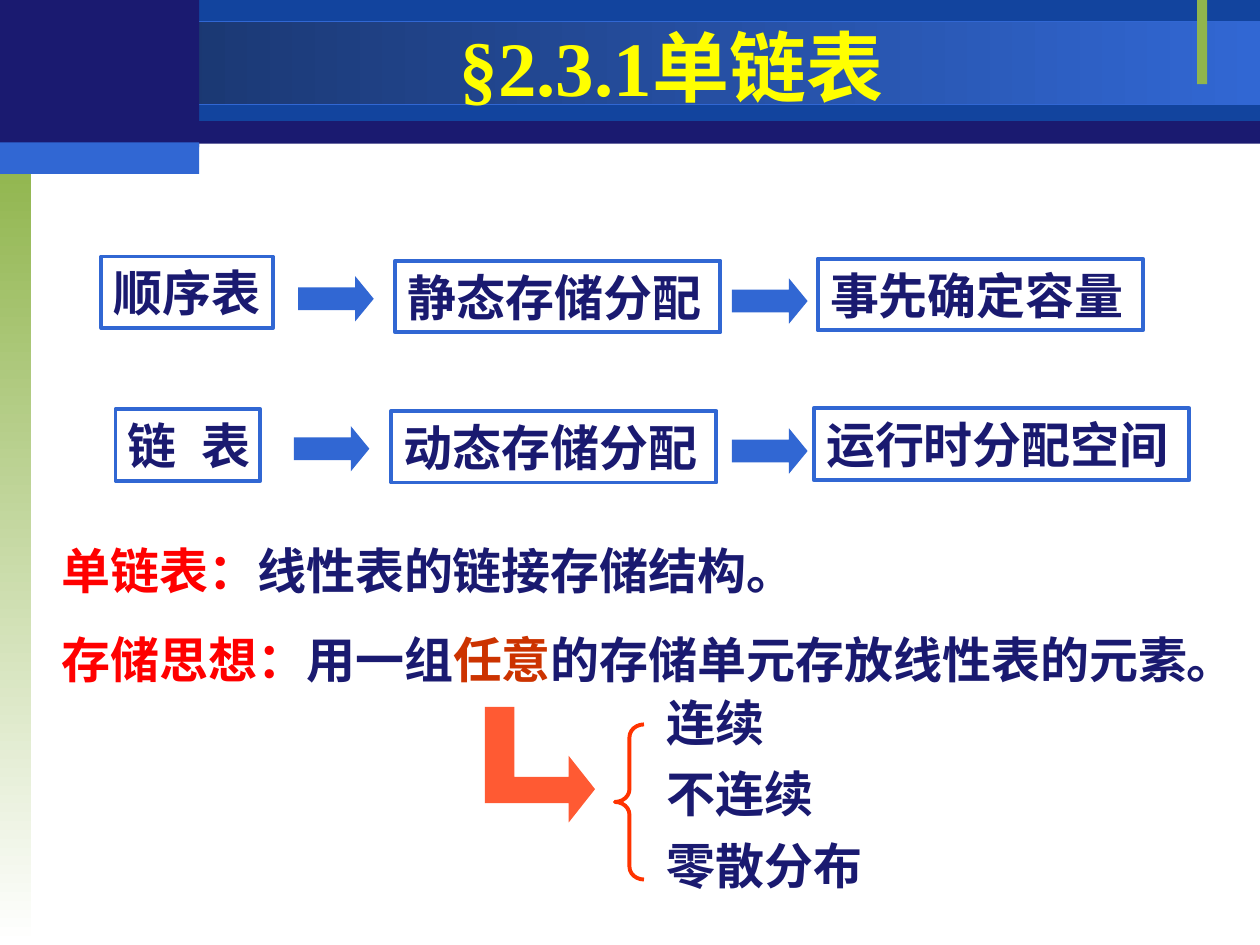
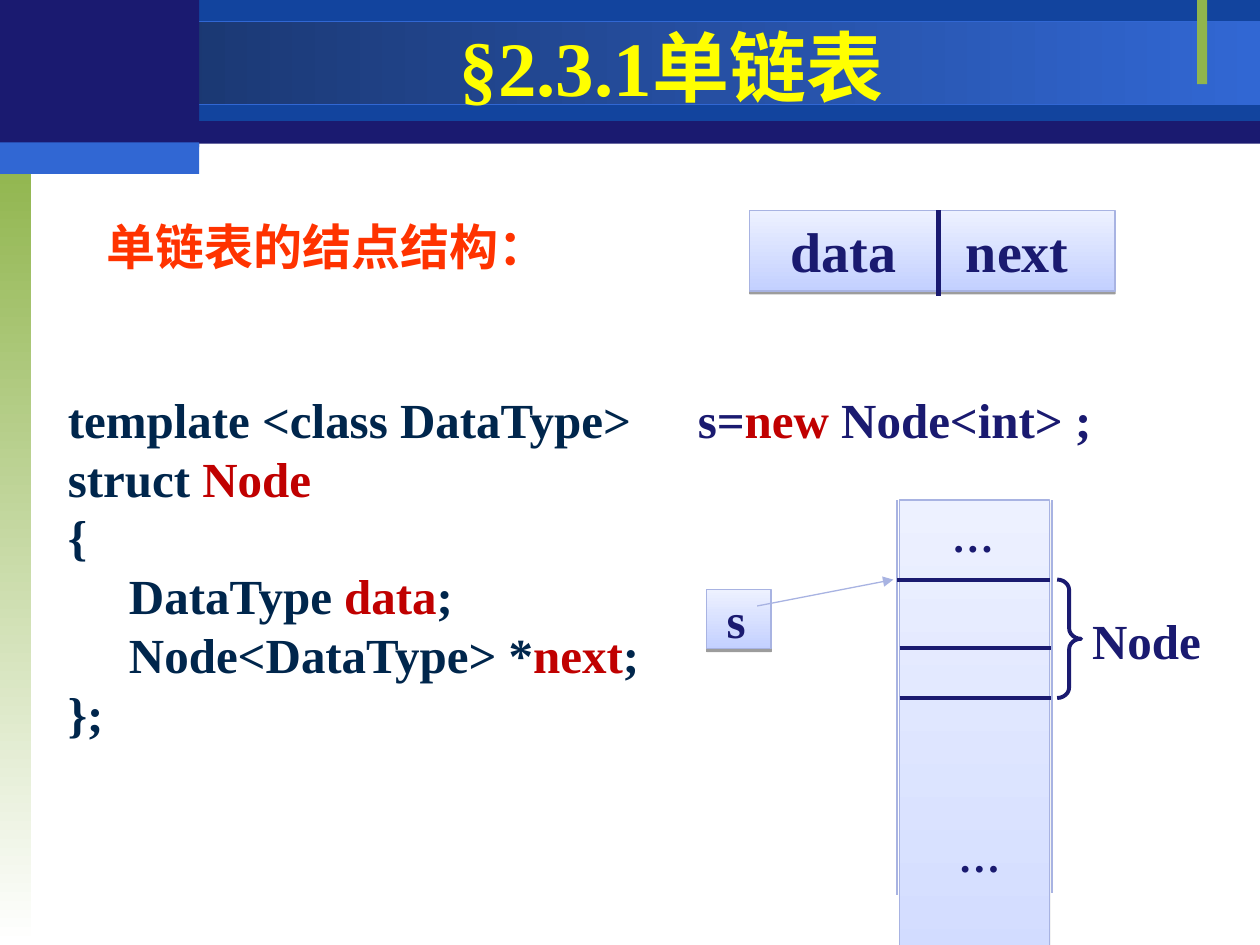
from dataclasses import dataclass
from typing import Optional

from lxml.etree import SubElement
from pptx import Presentation
from pptx.dml.color import RGBColor
from pptx.enum.shapes import MSO_CONNECTOR as Connector, MSO_SHAPE as Preset
from pptx.enum.text import MSO_ANCHOR as Anchor, MSO_AUTO_SIZE as AutoSize, PP_ALIGN as Align
from pptx.oxml.ns import qn
from pptx.util import Pt

COLORS = {
    "navy": "1A1A70", "royal": "12449E", "blue": "3167D3", "midnight": "173062",
    "green": "90B54D", "white": "FFFFFF", "yellow": "FFFF00", "red": "FF0000",
    "rust": "CC3300", "orange": "FF3300", "coral": "FF5A33", "crimson": "C00000",
    "ink": "00264C", "pale": "EDF1FF", "lavender": "C3D0FF", "periwinkle": "A8B3E2",
    "black": "000000",
}
TIMES, ARIAL, NOTO = "Times New Roman", "Arial", "Noto Sans CJK SC"
TITLE = "§2.3.1单链表"
ARROW_SIZE = (43.2, 25.9)
BOX_HEIGHT = 41


@dataclass(frozen=True)
class Box:
    left: float
    top: float
    width: float
    height: float


@dataclass(frozen=True)
class Paint:
    fill: Optional[str] = None
    fade_to: Optional[str] = None
    angle: int = 270
    line: Optional[str] = None
    line_width: float = 0.75
    shadow: bool = False


@dataclass(frozen=True)
class Piece:
    text: str
    color: str = "navy"
    tracking: float = 0


@dataclass(frozen=True)
class Style:
    font: str = TIMES
    size: float = 28
    italic: bool = False
    align: Align = Align.LEFT
    anchor: Anchor = Anchor.TOP
    gap: float = 0
    spacing: Optional[float] = None
    wrap: bool = True
    insets: tuple = (7.2, 3.6, 7.2, 3.6)
    tab: Optional[float] = None


@dataclass(frozen=True)
class FlowBox:
    left: float
    top: float
    width: float
    pieces: list
    style: Style


@dataclass(frozen=True)
class Stroke:
    start: tuple
    end: tuple
    color: str = "navy"
    width: float = 2.25
    arrow: bool = False


CELL = Paint("pale", "lavender", line="periwinkle", shadow=True)
OUTLINE = Paint(line="blue", line_width=2.25)
FIRST = Style(ARIAL, wrap=False)
NEXT = Style(NOTO, anchor=Anchor.MIDDLE)
ELLIPSIS = Style(size=24, italic=True, spacing=1.1)

BANDS = [
    (Box(0, 0.7, 720, 81.4), Paint("navy")),
    (Box(113.8, 0, 606.2, 69.1), Paint("royal")),
    (Box(0, 12.2, 720, 47.5), Paint("midnight", "blue", 0, "blue")),
    (Box(0, 90, 18, 450), Paint("green", "white")),
    (Box(684, 0, 5.8, 48.2), Paint("green")),
    (Box(0, 0, 113.8, 84.2), Paint("navy")),
    (Box(0, 81.4, 113.8, 18), Paint("blue")),
]
FLOW_BOXES = [
    FlowBox(58, 146.6, 97.9, [Piece("顺序表")], FIRST),
    FlowBox(225.8, 149, 185.8, [Piece("静态存储分配")], NEXT),
    FlowBox(467.2, 147.8, 185.8, [Piece("事先确定容量")], NEXT),
    FlowBox(66, 233.8, 82.8, [Piece("链"), Piece(" ", tracking=7.8), Piece("表")], FIRST),
    FlowBox(223.6, 234.8, 185.8, [Piece("动态存储分配")], NEXT),
    FlowBox(465, 233.4, 214.6, [Piece("运行时分配空间")], NEXT),
]
FLOW_ARROWS = [(170.4, 157.8), (418.3, 159.1), (167.9, 243.5), (418.3, 244.8)]
BENT_ARROW = [(339.8, 451.4), (325.4, 432), (325.4, 444.2), (293.8, 444.2), (293.8, 403.9),
              (277.2, 403.9), (277.2, 458.6), (325.4, 458.6), (325.4, 470.2)]


def rgb(name: str) -> RGBColor:
    return RGBColor.from_string(COLORS[name])


def paint_shape(shape, paint: Paint) -> None:
    shape.shadow.inherit = False
    if paint.fade_to:
        shape.fill.gradient()
        shape.fill.gradient_angle = paint.angle
        for stop, color in zip(shape.fill.gradient_stops, (paint.fill, paint.fade_to)):
            stop.color.rgb = rgb(color)
    elif paint.fill:
        shape.fill.solid()
        shape.fill.fore_color.rgb = rgb(paint.fill)
    else:
        shape.fill.background()
    if paint.line:
        shape.line.color.rgb = rgb(paint.line)
        shape.line.width = Pt(paint.line_width)
    else:
        shape.line.fill.background()
    if paint.shadow:
        effects = shape._element.spPr.find(qn("a:effectLst"))
        shadow = SubElement(effects, qn("a:outerShdw"), blurRad="0", dist=str(Pt(1.6)),
                            dir="5400000", rotWithShape="0")
        color = SubElement(shadow, qn("a:srgbClr"), val=COLORS["black"])
        SubElement(color, qn("a:alpha"), val="38000")


def add_preset(slide, preset: Preset, box: Box, paint: Paint, adjustments: tuple = ()):
    shape = slide.shapes.add_shape(preset, Pt(box.left), Pt(box.top), Pt(box.width), Pt(box.height))
    for index, value in enumerate(adjustments):
        shape.adjustments[index] = value
    paint_shape(shape, paint)
    return shape


def write(shape, lines: list, style: Style) -> None:
    frame = shape.text_frame
    frame.word_wrap = style.wrap
    frame.auto_size = AutoSize.NONE
    frame.vertical_anchor = style.anchor
    frame.margin_left, frame.margin_top, frame.margin_right, frame.margin_bottom = map(Pt, style.insets)
    for index, pieces in enumerate(lines):
        paragraph = frame.add_paragraph() if index else frame.paragraphs[0]
        paragraph.text = pieces[0].text
        for piece in pieces[1:]:
            paragraph.add_run().text = piece.text
        paragraph.alignment = style.align
        if index and style.gap:
            paragraph.space_before = Pt(style.gap)
        if style.spacing:
            paragraph.line_spacing = style.spacing
        if style.tab:
            tabs = SubElement(paragraph._p.get_or_add_pPr(), qn("a:tabLst"))
            SubElement(tabs, qn("a:tab"), pos=str(Pt(style.tab)), algn="l")
        for run, piece in zip(paragraph.runs, pieces):
            run.font.name = style.font
            run.font.size = Pt(style.size)
            run.font.bold = True
            run.font.italic = style.italic
            run.font.color.rgb = rgb(piece.color)
            if piece.tracking:
                run.font._element.set("spc", str(round(piece.tracking * 100)))


def add_text(slide, box: Box, lines: list, style: Style) -> None:
    shape = slide.shapes.add_textbox(Pt(box.left), Pt(box.top), Pt(box.width), Pt(box.height))
    write(shape, lines, style)


def add_stroke(slide, stroke: Stroke) -> None:
    connector = slide.shapes.add_connector(
        Connector.STRAIGHT, *map(Pt, stroke.start + stroke.end))
    connector.line.color.rgb = rgb(stroke.color)
    connector.line.width = Pt(stroke.width)
    if stroke.arrow:
        SubElement(connector.line._get_or_add_ln(), qn("a:tailEnd"), type="triangle")
    SubElement(connector._element.spPr, qn("a:effectLst"))


def add_base_slide(presentation):
    slide = presentation.slides.add_slide(presentation.slide_layouts[6])
    for box, paint in BANDS:
        add_preset(slide, Preset.RECTANGLE, box, paint)
    add_text(slide, Box(113.8, 16.6, 540, 41.8), [[Piece(TITLE, "yellow")]],
             Style(size=44, align=Align.CENTER, anchor=Anchor.MIDDLE))
    return slide


def build_storage_slide(presentation) -> None:
    slide = add_base_slide(presentation)
    add_text(slide, Box(28.1, 305.3, 691.9, 92.2), [
        [Piece("单链表：", "red"), Piece("线性表的链接存储结构。")],
        [Piece("存储思想：", "red"), Piece("用一组"), Piece("任意", "rust"),
         Piece("的存储单元存放线性表的元素。")],
    ], Style(NOTO, gap=17.5))
    for item in FLOW_BOXES:
        box = Box(item.left, item.top, item.width, BOX_HEIGHT)
        write(add_preset(slide, Preset.RECTANGLE, box, OUTLINE), [item.pieces], item.style)
    for left, top in FLOW_ARROWS:
        add_preset(slide, Preset.RIGHT_ARROW, Box(left, top, *ARROW_SIZE), Paint("blue"), (0.5, 0.41))
    add_text(slide, Box(373.7, 392.4, 164.2, 122.4),
             [[Piece(text)] for text in ("连续", "不连续", "零散分布")], Style(NOTO, gap=7))
    add_preset(slide, Preset.LEFT_BRACE, Box(351.4, 414, 16.6, 88.6),
               Paint(line="orange", line_width=2.25), (0.44, 0.5))
    builder = slide.shapes.build_freeform(*BENT_ARROW[0], scale=Pt(1))
    builder.add_line_segments(BENT_ARROW[1:], close=True)
    paint_shape(builder.convert_to_shape(), Paint("coral"))


def build_node_slide(presentation) -> None:
    slide = add_base_slide(presentation)
    add_text(slide, Box(391.7, 218.9, 269.3, BOX_HEIGHT),
             [[Piece("s="), Piece("new", "crimson"), Piece(" Node<int> ;")]], Style())
    add_text(slide, Box(31.7, 218.9, 352.1, 208.8), [
        [Piece("template <class DataType>", "ink")],
        [Piece("struct ", "ink"), Piece("Node", "crimson")],
        [Piece("{", "ink")],
        [Piece("     DataType ", "ink"), Piece("data", "crimson"), Piece(";", "ink")],
        [Piece("     Node<DataType> *", "ink"), Piece("next", "crimson"), Piece(";", "ink")],
        [Piece("};", "ink")],
    ], Style(align=Align.JUSTIFY))
    fields = add_preset(slide, Preset.RECTANGLE, Box(428.4, 120.2, 208.8, 46.1), CELL)
    write(fields, [[Piece("data\tnext")]],
          Style(size=32, insets=(23.2, 3.6, 7.2, 3.6), tab=100.4))
    add_text(slide, Box(54, 116.6, 298.1, 51.8), [[Piece("单链表的结点结构：", "orange")]],
             Style(ARIAL, anchor=Anchor.MIDDLE, spacing=0.9))
    add_preset(slide, Preset.RECTANGLE, Box(514.1, 285.8, 85.7, 396), CELL)
    for left, top in ((537.8, 285.1), (541.4, 468)):
        add_text(slide, Box(left, top, 40.3, 38.9), [[Piece("…")]], ELLIPSIS)
    pointer = add_preset(slide, Preset.RECTANGLE, Box(403.9, 337, 36.7, 33.8), CELL)
    write(pointer, [[Piece("s")]], Style(insets=(11.3, 0, 0, 0)))
    strokes = [
        Stroke((536.4, 120.2), (536.4, 169.2), width=3),
        Stroke((512.6, 285.8), (512.6, 511.2), "periwinkle", 0.75),
        Stroke((601.2, 285.8), (601.2, 510.5), "periwinkle", 0.75),
        Stroke((432.7, 346.3), (510.5, 331.2), "periwinkle", 0.75, True),
        Stroke((512.6, 331.2), (599.8, 331.2)),
        Stroke((514.1, 370.1), (600.5, 370.1)),
        Stroke((514.1, 398.9), (600.5, 398.9)),
    ]
    for stroke in strokes:
        add_stroke(slide, stroke)
    add_preset(slide, Preset.RIGHT_BRACE, Box(604.1, 331.2, 13.7, 67.7),
               Paint(line="navy", line_width=2.25), (0.44, 0.5))
    add_text(slide, Box(617, 345.6, 79.2, BOX_HEIGHT), [[Piece("Node")]], Style())


def main() -> None:
    presentation = Presentation()
    presentation.slide_width, presentation.slide_height = Pt(720), Pt(540)
    build_storage_slide(presentation)
    build_node_slide(presentation)
    presentation.save("out.pptx")


if __name__ == "__main__":
    main()
